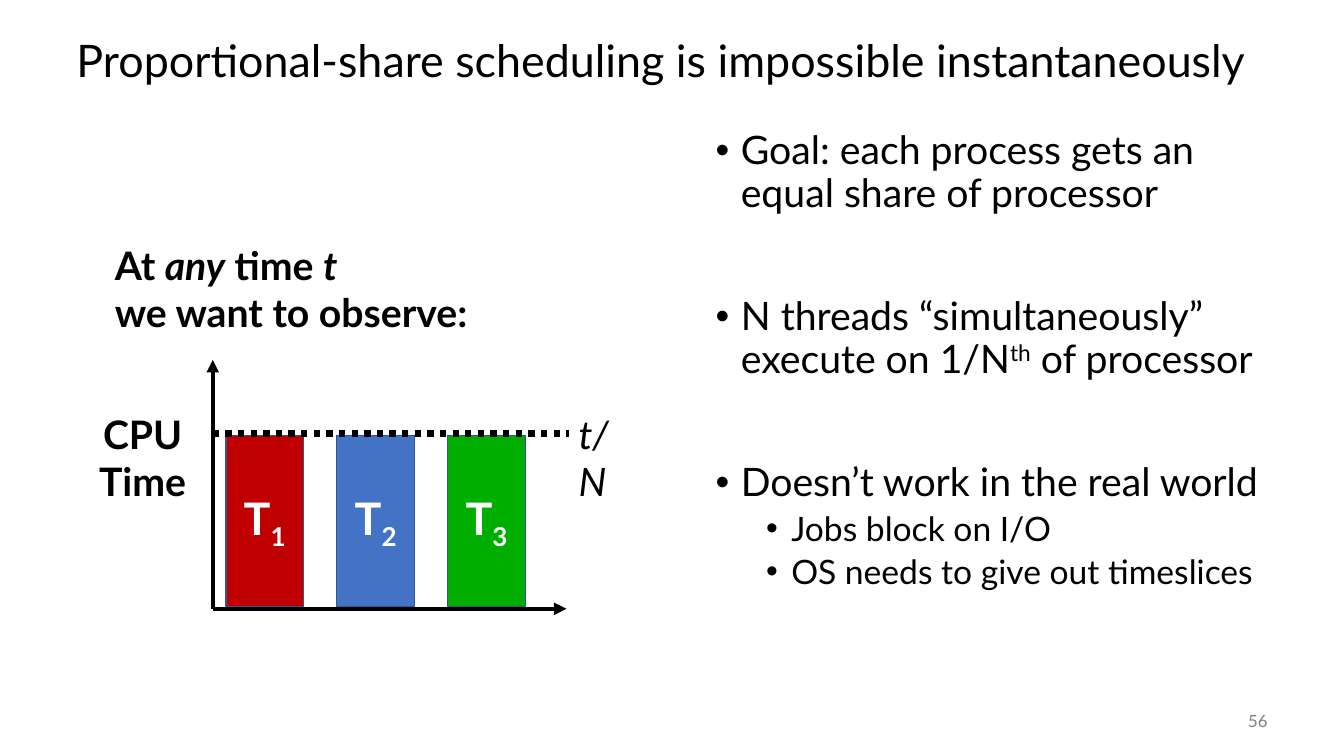
from dataclasses import dataclass

from lxml.etree import SubElement
from pptx import Presentation
from pptx.dml.color import RGBColor as Color
from pptx.enum.dml import MSO_LINE as Dash
from pptx.enum.shapes import MSO_CONNECTOR as Connector, MSO_SHAPE as Shape
from pptx.enum.text import MSO_ANCHOR as Anchor, PP_ALIGN as Align
from pptx.oxml.ns import qn
from pptx.util import Inches, Pt


@dataclass(frozen=True)
class Theme:
    """Hold the font, colours and type sizes of the slide."""
    font: str = "Lato"
    ink: str = "000000"
    muted: str = "808080"
    light: str = "FFFFFF"
    outline: str = "325491"
    red: str = "C00000"
    blue: str = "4472C4"
    green: str = "00AE00"
    title: int = 32
    body: int = 28
    detail: int = 24
    number: int = 12


THEME = Theme()


@dataclass(frozen=True)
class Span:
    """Describe a stretch of text in one style."""
    text: str
    italic: bool = False
    baseline: int = 0


@dataclass(frozen=True)
class Bullet:
    """Describe one bulleted paragraph."""
    spans: tuple[Span, ...]
    size: int = THEME.body
    before: int = 0
    margin: float = 0.25


@dataclass(frozen=True)
class Label:
    """Describe a text box with a single paragraph."""
    spans: tuple[Span, ...]
    left: float
    top: float
    width: float
    height: float
    size: int = THEME.body
    color: str = THEME.ink
    bold: bool = False
    wrap: bool = True
    align: Align = Align.LEFT
    anchor: Anchor = Anchor.TOP
    spacing: float = 1.0


@dataclass(frozen=True)
class Rule:
    """Describe a straight line of the chart."""
    start: tuple[float, float]
    end: tuple[float, float]
    weight: float = 3
    arrow: bool = True
    dash: Dash | None = None


AXIS_X, AXIS_Y = 2.11, 6.04
BAR_LEFT, BAR_TOP, BAR_WIDTH, BAR_HEIGHT, BAR_PITCH = 2.24, 4.32, 0.77, 1.7, 1.1
BAR_FILLS = (THEME.red, THEME.blue, THEME.green)
SECTION_GAP, DETAIL_GAP = 58, 5

LABELS = (
    Label((Span("Proportional-share scheduling is impossible instantaneously"),),
          0.66, 0.25, 12, 0.75, THEME.title, anchor=Anchor.MIDDLE, spacing=0.9),
    Label((Span("56"),), 11.67, 6.95, 1, 0.4, THEME.number, THEME.muted,
          align=Align.RIGHT, anchor=Anchor.MIDDLE),
    Label((Span("At "), Span("any", italic=True), Span(" time "),
           Span("t\n", italic=True), Span("we want to observe:")),
          1.04, 2.34, 4.29, 1.04, bold=True),
    Label((Span("CPU\nTime"),), 0.83, 4.02, 1.17, 1.04,
          bold=True, wrap=False, align=Align.CENTER),
    Label((Span("t/N", italic=True),), 5.64, 4.02, 0.75, 0.57),
)

BULLETS = (
    Bullet((Span("Goal: each process gets an equal share of processor"),)),
    Bullet((Span("N threads “simultaneously” execute on 1/N"),
            Span("th", baseline=30), Span(" of processor")), before=SECTION_GAP),
    Bullet((Span("Doesn’t work in the real world"),), before=SECTION_GAP),
    Bullet((Span("Jobs block on I/O"),), THEME.detail, DETAIL_GAP, 0.75),
    Bullet((Span("OS needs to give out timeslices"),), THEME.detail, DETAIL_GAP, 0.75),
)

RULES = (
    Rule((AXIS_X, AXIS_Y), (5.62, AXIS_Y)),
    Rule((AXIS_X, AXIS_Y), (AXIS_X, 3.57)),
    Rule((AXIS_X, 4.3), (5.64, 4.3), 4.5, False, Dash.ROUND_DOT),
)


def write_spans(para, spans: tuple[Span, ...], *, size: int,
                color: str = THEME.ink, bold: bool = False) -> None:
    """Write formatted spans, turning newlines into line breaks."""
    for span in spans:
        for index, piece in enumerate(span.text.split("\n")):
            if index:
                para.add_line_break()
            if not piece:
                continue
            run = para.add_run()
            run.text = piece
            run.font.name = THEME.font
            run.font.size = Pt(size)
            run.font.bold = bold
            run.font.italic = span.italic
            run.font.color.rgb = Color.from_string(color)
            if span.baseline:
                run._r.get_or_add_rPr().set("baseline", str(span.baseline * 1000))


def add_label(page, label: Label) -> None:
    """Add a text box with one paragraph."""
    box = page.shapes.add_textbox(Inches(label.left), Inches(label.top),
                                  Inches(label.width), Inches(label.height))
    frame = box.text_frame
    frame.word_wrap = label.wrap
    frame.vertical_anchor = label.anchor
    para = frame.paragraphs[0]
    para.alignment = label.align
    para.line_spacing = label.spacing
    write_spans(para, label.spans, size=label.size, color=label.color, bold=label.bold)


def add_bullets(page, bullets: tuple[Bullet, ...]) -> None:
    """Add the bulleted list on the right."""
    box = page.shapes.add_textbox(Inches(7), Inches(1.25), Inches(5.66), Inches(5.5))
    frame = box.text_frame
    frame.word_wrap = True
    for index, bullet in enumerate(bullets):
        para = frame.add_paragraph() if index else frame.paragraphs[0]
        para.level = int(bullet.margin > 0.25)
        para.line_spacing = 0.9
        para.space_before = Pt(bullet.before)
        properties = para._p.get_or_add_pPr()
        properties.set("marL", str(Inches(bullet.margin)))
        properties.set("indent", str(Inches(-0.25)))
        SubElement(properties, qn("a:buFont"), typeface="Arial")
        SubElement(properties, qn("a:buChar"), char="•")
        write_spans(para, bullet.spans, size=bullet.size)


def add_bar(page, index: int, fill: str) -> None:
    """Add the bar of one thread."""
    bar = page.shapes.add_shape(
        Shape.RECTANGLE, Inches(BAR_LEFT + index * BAR_PITCH), Inches(BAR_TOP),
        Inches(BAR_WIDTH), Inches(BAR_HEIGHT))
    bar.shadow.inherit = False
    bar.fill.solid()
    bar.fill.fore_color.rgb = Color.from_string(fill)
    bar.line.color.rgb = Color.from_string(THEME.outline)
    bar.line.width = Pt(1)
    bar.text_frame.vertical_anchor = Anchor.MIDDLE
    para = bar.text_frame.paragraphs[0]
    para.alignment = Align.CENTER
    write_spans(para, (Span("T"), Span(str(index + 1), baseline=-25)),
                size=THEME.title, color=THEME.light, bold=True)


def add_rule(page, rule: Rule) -> None:
    """Add a straight line, with an arrowhead if asked."""
    line = page.shapes.add_connector(
        Connector.STRAIGHT, *(Inches(value) for value in rule.start + rule.end))
    line.line.color.rgb = Color.from_string(THEME.ink)
    line.line.width = Pt(rule.weight)
    if rule.dash:
        line.line.dash_style = rule.dash
    if rule.arrow:
        SubElement(line.line._get_or_add_ln(), qn("a:tailEnd"), type="triangle")
    SubElement(line._element.spPr, qn("a:effectLst"))


def main() -> None:
    """Build the slide and save the deck."""
    deck = Presentation()
    deck.slide_width, deck.slide_height = Inches(13.33), Inches(7.5)
    page = deck.slides.add_slide(deck.slide_layouts[6])
    for label in LABELS:
        add_label(page, label)
    add_bullets(page, BULLETS)
    for index, fill in enumerate(BAR_FILLS):
        add_bar(page, index, fill)
    for rule in RULES:
        add_rule(page, rule)
    deck.save("out.pptx")


if __name__ == "__main__":
    main()
